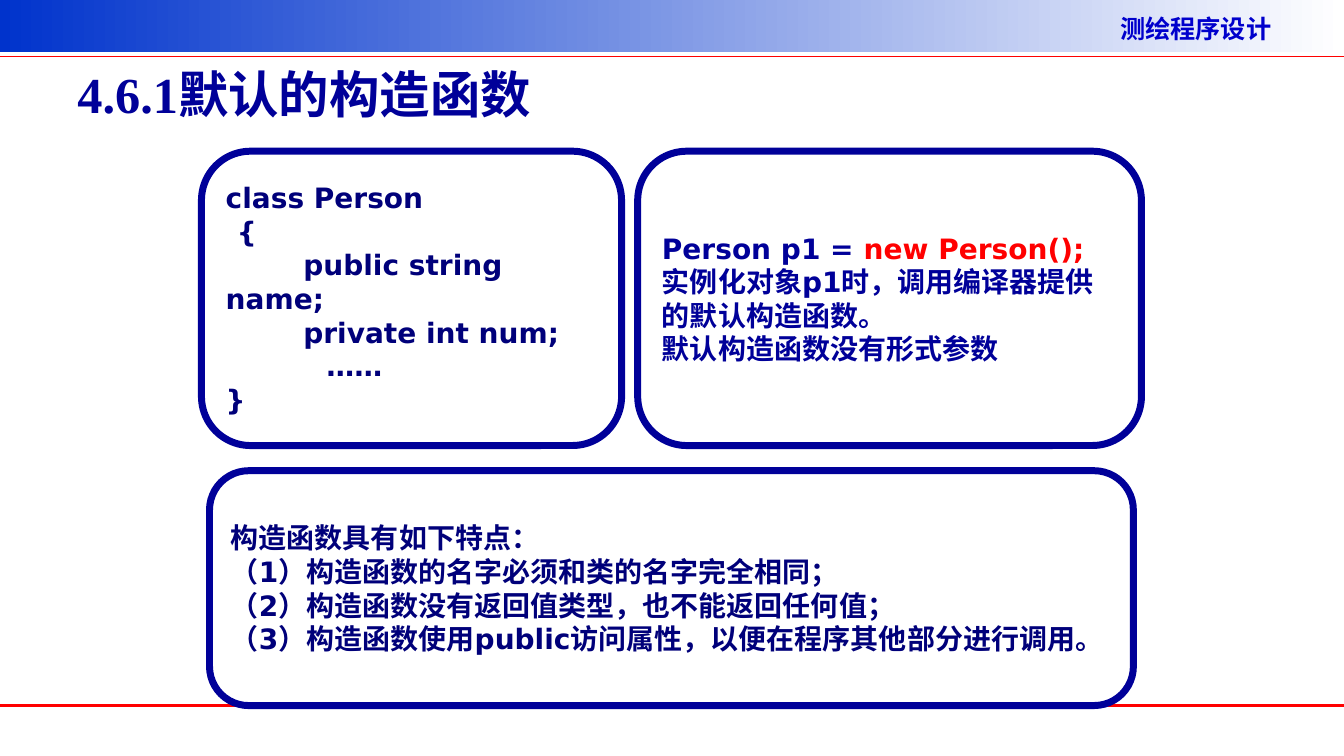
from lxml import etree
from pptx import Presentation
from pptx.dml.color import RGBColor
from pptx.enum.shapes import MSO_CONNECTOR, MSO_SHAPE
from pptx.enum.text import MSO_ANCHOR, PP_ALIGN
from pptx.oxml.ns import qn
from pptx.util import Inches, Pt

RECT, ROUNDED = MSO_SHAPE.RECTANGLE, MSO_SHAPE.ROUNDED_RECTANGLE
STRAIGHT = MSO_CONNECTOR.STRAIGHT
MIDDLE, LEFT = MSO_ANCHOR.MIDDLE, PP_ALIGN.LEFT

WIDTH, HEIGHT = 13.34, 7.5
BLUE, NAVY, RED = "000099", "00007A", "FF0000"
CJK, BODY, SERIF = "Noto Sans CJK SC", "DejaVu Sans", "Times New Roman"

# Each paragraph: first-line indent in inches, then (text, colour) runs
CODE = [
    (0, [("class Person", NAVY)]),
    (0.11, [("{", NAVY)]),
    (0.77, [("public string name;", NAVY)]),
    (0.77, [("private int num;", NAVY)]),
    (1, [("……", NAVY)]),
    (0, [("}", NAVY)]),
]
USAGE = [
    (0, [("Person p1 = ", BLUE), ("new Person();", RED)]),
    (0, [("实例化对象p1时，调用编译器提供的默认构造函数。", BLUE)]),
    (0, [("默认构造函数没有形式参数", BLUE)]),
]
FEATURES = [
    (0, [("构造函数具有如下特点：", NAVY)]),
    (0, [("（1）构造函数的名字必须和类的名字完全相同；", NAVY)]),
    (0, [("（2）构造函数没有返回值类型，也不能返回任何值；", NAVY)]),
    (0, [("（3）构造函数使用public访问属性，以便在程序其他部分进行调用。", NAVY)]),
]


def rgb(value):
    return RGBColor.from_string(value)


def add_run(p, text, size, font, color):
    """Add a bold run, with the CJK font for East Asian characters."""
    r = p.add_run()
    r.text = text
    r.font.size, r.font.bold, r.font.name = Pt(size), True, font
    r.font.color.rgb = rgb(color)
    etree.SubElement(r.font._element, qn("a:ea")).set("typeface", CJK)


def add_label(s, box, text, size, font, color):
    sp = s.shapes.add_textbox(*map(Inches, box))
    tf = sp.text_frame
    tf.word_wrap, tf.vertical_anchor = True, MIDDLE
    add_run(tf.paragraphs[0], text, size, font, color)


def add_header_band(s):
    sp = s.shapes.add_shape(RECT, 0, 0, Inches(WIDTH), Inches(0.52))
    sp.shadow.inherit = False
    sp.line.fill.background()
    sp.fill.gradient()
    sp.fill.gradient_angle = 0
    for stop, (position, color) in zip(sp.fill.gradient_stops,
                                       [(0, "0033CC"), (1, "FFFFFF")]):
        stop.position = position
        stop.color.rgb = rgb(color)


def add_rule(s, y, weight):
    line = s.shapes.add_connector(STRAIGHT, 0, Inches(y), Inches(WIDTH), Inches(y))
    line.line.color.rgb = rgb(RED)
    line.line.width = Pt(weight)
    etree.SubElement(line._element.spPr, qn("a:effectLst"))


def add_panel(s, box, paragraphs):
    sp = s.shapes.add_shape(ROUNDED, *map(Inches, box))
    sp.shadow.inherit = False
    sp.fill.background()
    sp.line.color.rgb = rgb(BLUE)
    sp.line.width = Pt(5)
    tf = sp.text_frame
    tf.word_wrap, tf.vertical_anchor = True, MIDDLE
    for i, (indent, runs) in enumerate(paragraphs):
        p = tf.add_paragraph() if i else tf.paragraphs[0]
        p.alignment = LEFT
        pPr = p._p.get_or_add_pPr()
        pPr.set("marL", "0")
        pPr.set("indent", str(Inches(indent)))
        for text, color in runs:
            add_run(p, text, 20, BODY, color)


def main():
    prs = Presentation()
    prs.slide_width, prs.slide_height = Inches(WIDTH), Inches(HEIGHT)
    s = prs.slides.add_slide(prs.slide_layouts[6])

    add_header_band(s)
    add_label(s, (11.02, 0.08, 2.3, 0.4), "测绘程序设计", 18, CJK, "0000CC")
    add_rule(s, 0.56, 1)
    add_rule(s, 7, 2.25)
    add_label(s, (0.67, 0.3, 12, 1.25), "4.6.1默认的构造函数", 36, SERIF, BLUE)

    add_panel(s, (2.08, 4.67, 9.17, 2.33), FEATURES)
    add_panel(s, (2, 1.5, 4.17, 2.92), CODE)
    add_panel(s, (6.33, 1.5, 5, 2.92), USAGE)

    prs.save("out.pptx")


if __name__ == "__main__":
    main()
